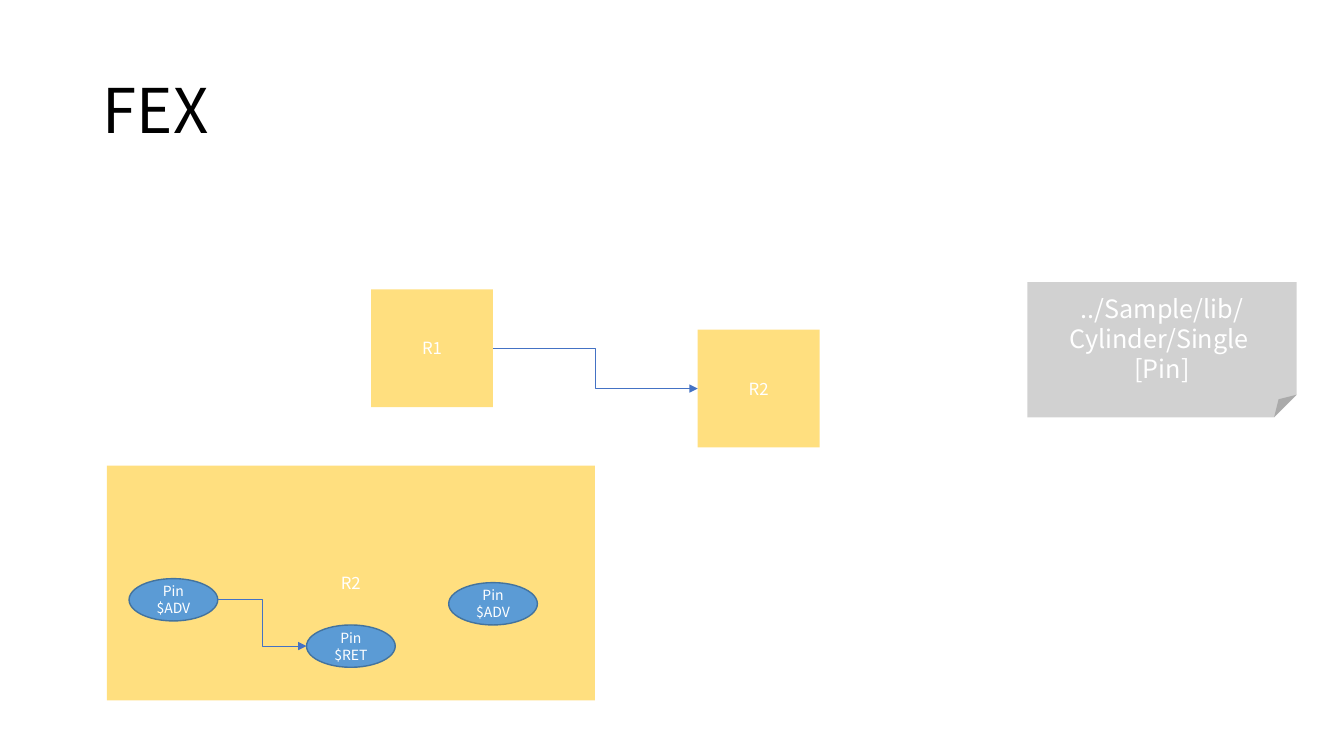
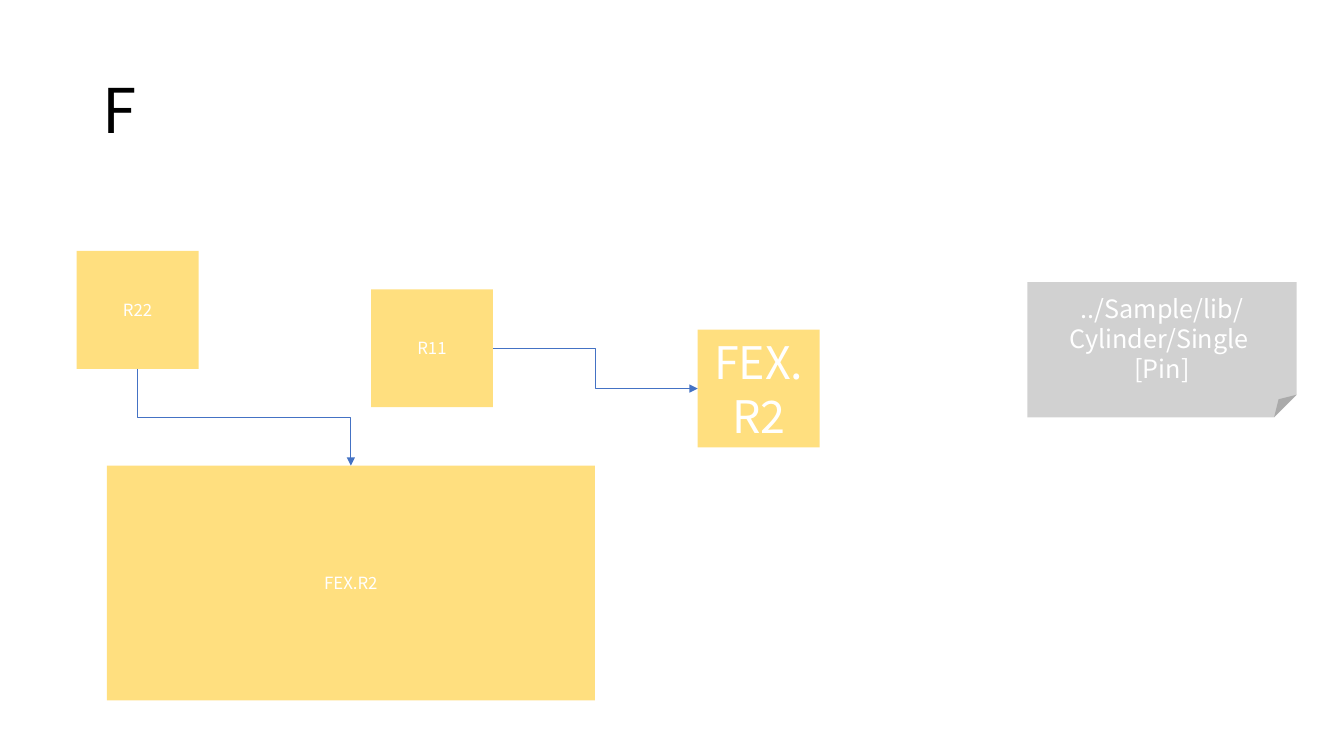
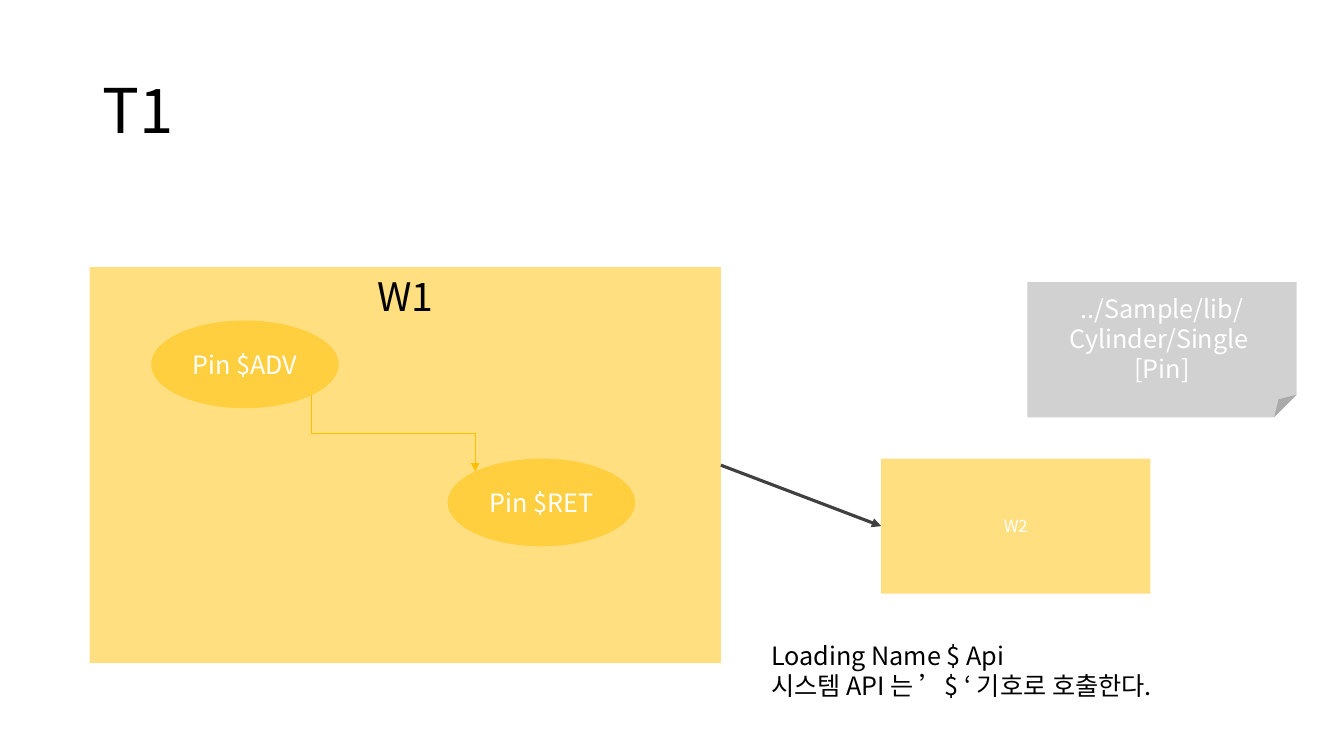
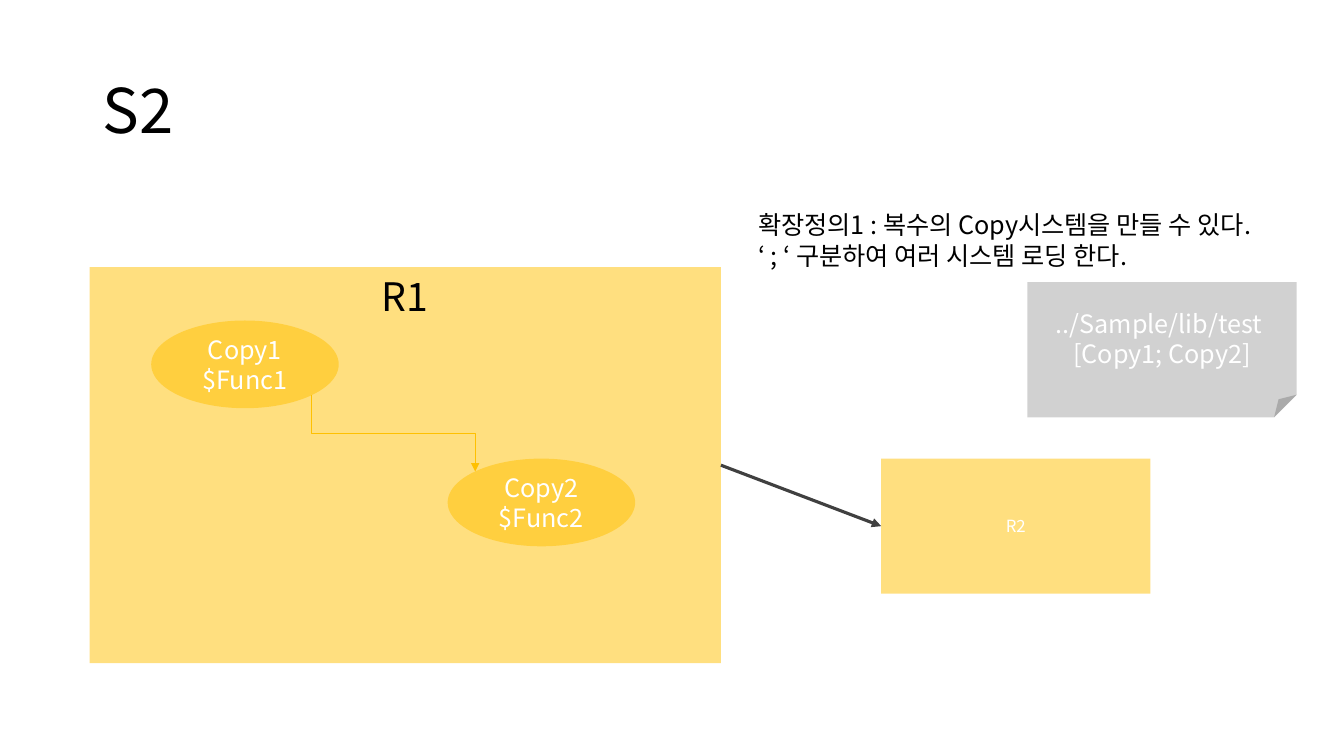
from dataclasses import dataclass
from math import sqrt

from lxml.etree import SubElement
from pptx import Presentation
from pptx.dml.color import RGBColor
from pptx.enum.shapes import MSO_CONNECTOR as Connector, MSO_SHAPE as Preset
from pptx.enum.text import MSO_ANCHOR as Anchor, MSO_AUTO_SIZE as AutoSize, PP_ALIGN as Align
from pptx.oxml.ns import qn
from pptx.util import Inches, Pt


@dataclass(frozen=True)
class Theme:
    font: str = "Noto Sans CJK KR"
    black: str = "000000"
    white: str = "FFFFFF"
    amber: str = "FFC000"
    gray: str = "A5A5A5"
    sky: str = "5B9BD5"
    sky_edge: str = "43739E"
    blue: str = "4472C4"
    charcoal: str = "404040"
    title_size: int = 44
    large_size: int = 32
    panel_size: int = 28
    body_size: int = 18
    label_size: int = 12
    pin_size: int = 10


THEME = Theme()
TITLE_ONLY = 5
BLOCK = (1.21, 1.17)
WIDE_BLOCK = (4.84, 2.33)
CARD = (2.67, 1.34)
PIN = (0.88, 0.42)
OVAL = (1.86, 0.87)
PANEL = (6.26, 3.93)
DIAGONAL = 1 / sqrt(2)
PIN_LIBRARY = ("../Sample/lib/Cylinder/Single ", "[Pin]")


def rgb(code):
    return RGBColor.from_string(code)


def edge_point(shape, across, down):
    """Point of a shape, counted from its centre in half widths and half heights."""
    return (round(shape.left + shape.width * (1 + across) / 2),
            round(shape.top + shape.height * (1 + down) / 2))


class DiagramDeck:
    def __init__(self, theme):
        self.theme = theme
        self.deck = Presentation()
        self.deck.slide_width = Inches(13.33)
        self.deck.slide_height = Inches(7.5)

    def add_page(self, heading):
        self.page = self.deck.slides.add_slide(self.deck.slide_layouts[TITLE_ONLY])
        self.shapes = self.page.shapes
        title = self.page.shapes.title
        title.left, title.top = Inches(0.92), Inches(0.4)
        title.width, title.height = Inches(11.5), Inches(1.45)
        title.text_frame.vertical_anchor = Anchor.MIDDLE
        self.set_text(title, [heading], self.theme.title_size, self.theme.black, Align.LEFT)
        title.text_frame.paragraphs[0].line_spacing = 0.9

    def start_group(self):
        self.shapes = self.page.shapes.add_group_shape().shapes

    def end_group(self):
        self.shapes = self.page.shapes

    def set_text(self, shape, lines, size, color, align):
        frame = shape.text_frame
        frame.word_wrap = True
        for index, line in enumerate(lines):
            para = frame.add_paragraph() if index else frame.paragraphs[0]
            para.text = line
            para.alignment = align
            font = para.font
            font.name = self.theme.font
            font.size = Pt(size)
            font.color.rgb = rgb(color)
            SubElement(font._element, qn("a:ea"), typeface=self.theme.font)

    def shape(self, preset, left, top, size, lines, text_size, fill,
              text_color=None, edge=None, anchor=Anchor.MIDDLE):
        """Preset shape with centred text; without an edge it is half transparent."""
        shape = self.shapes.add_shape(preset, Inches(left), Inches(top), *map(Inches, size))
        shape.shadow.inherit = False
        shape.fill.solid()
        shape.fill.fore_color.rgb = rgb(fill)
        if edge:
            shape.line.color.rgb = rgb(edge)
            shape.line.width = Pt(1)
        else:
            color = shape._element.spPr.find(qn("a:solidFill"))[0]
            SubElement(color, qn("a:alpha"), val="50000")
            shape.line.fill.background()
        shape.text_frame.vertical_anchor = anchor
        self.set_text(shape, lines, text_size, text_color or self.theme.white, Align.CENTER)
        return shape

    def block(self, left, top, label, size=BLOCK, text_size=None):
        return self.shape(Preset.RECTANGLE, left, top, size, [label],
                          text_size or self.theme.label_size, self.theme.amber)

    def panel(self, left, top, label):
        return self.shape(Preset.RECTANGLE, left, top, PANEL, [label], self.theme.panel_size,
                          self.theme.amber, self.theme.black, anchor=Anchor.TOP)

    def oval(self, left, top, label):
        return self.shape(Preset.OVAL, left, top, OVAL, [label],
                          self.theme.body_size, self.theme.amber)

    def pin(self, left, top, function):
        return self.shape(Preset.OVAL, left, top, PIN, ["Pin", function],
                          self.theme.pin_size, self.theme.sky, edge=self.theme.sky_edge)

    def library_card(self, lines):
        self.shape(Preset.FOLDED_CORNER, 10.19, 2.8, CARD, lines,
                   self.theme.body_size, self.theme.gray)

    def note(self, left, top, width, lines):
        box = self.shapes.add_textbox(Inches(left), Inches(top), Inches(width), Inches(0.71))
        box.text_frame.auto_size = AutoSize.SHAPE_TO_FIT_TEXT
        self.set_text(box, lines, self.theme.body_size, self.theme.black, Align.LEFT)

    def connector(self, kind, start, end, color, width):
        line = self.shapes.add_connector(kind, *start, *end)
        line.line.color.rgb = rgb(color)
        line.line.width = Pt(width)
        outline = line._element.spPr.find(qn("a:ln"))
        SubElement(outline, qn("a:tailEnd"), type="triangle")
        SubElement(line._element.spPr, qn("a:effectLst"))
        return line

    def elbow_right(self, source, target):
        self.connector(Connector.ELBOW, edge_point(source, 1, 0), edge_point(target, -1, 0),
                       self.theme.blue, 0.5)

    def elbow_down(self, source, target, color, across=0, down=1):
        """Elbow that leaves downwards: a level one turned a quarter about its middle."""
        x1, y1 = edge_point(source, across, down)
        x2, y2 = edge_point(target, -across, -down)
        run, drop = x2 - x1, y2 - y1
        left, top = (x1 + x2 - drop) // 2, (y1 + y2 - run) // 2
        line = self.connector(Connector.ELBOW, (left, top), (left + drop, top + run), color, 0.5)
        frame = line._element.spPr.find(qn("a:xfrm"))
        frame.set("rot", "16200000")
        frame.set("flipH", "1")

    def arrow(self, source, target):
        line = self.connector(Connector.STRAIGHT, edge_point(source, 1, 0),
                              edge_point(target, -1, 0), self.theme.charcoal, 2.25)
        line.begin_connect(source, 3)
        line.end_connect(target, 1)

    def top_flow(self, first, second, second_size=None):
        source = self.block(3.68, 2.87, first)
        target = self.block(6.92, 3.27, second, text_size=second_size)
        self.elbow_right(source, target)
        self.library_card(PIN_LIBRARY)

    def panel_flow(self, panel_label, calls, block_label):
        self.start_group()
        panel = self.panel(0.89, 2.65, panel_label)
        first = self.oval(1.5, 3.18, calls[0])
        second = self.oval(4.44, 4.55, calls[1])
        self.elbow_down(first, second, self.theme.amber, DIAGONAL, DIAGONAL)
        self.end_group()
        self.arrow(panel, self.block(8.74, 4.55, block_label, CARD))


def main():
    diagrams = DiagramDeck(THEME)

    diagrams.add_page("FEX")
    diagrams.top_flow("R1", "R2")
    diagrams.start_group()
    diagrams.block(1.06, 4.62, "R2", WIDE_BLOCK)
    advance = diagrams.pin(1.28, 5.74, "$ADV")
    diagrams.elbow_right(advance, diagrams.pin(3.04, 6.2, "$RET"))
    diagrams.pin(4.45, 5.78, "$ADV")
    diagrams.end_group()

    diagrams.add_page("F")
    diagrams.top_flow("R11", "FEX.R2", THEME.large_size)
    wide = diagrams.block(1.06, 4.62, "FEX.R2", WIDE_BLOCK)
    diagrams.elbow_down(diagrams.block(0.76, 2.49, "R22"), wide, THEME.blue)

    diagrams.add_page("T1")
    diagrams.panel_flow("W1", ("Pin $ADV", "Pin $RET"), "W2")
    diagrams.note(7.55, 6.3, 5.49, ("Loading Name $ Api", "시스템 API 는 ’$ ‘ 기호로 호출한다."))
    diagrams.library_card(PIN_LIBRARY)

    diagrams.add_page("S2")
    diagrams.panel_flow("R1", ("Copy1 $Func1", "Copy2 $Func2"), "R2")
    diagrams.library_card(("../Sample/lib/test ", "[Copy1; Copy2]"))
    diagrams.note(7.42, 2.03, 5.92, ("확장정의1 : 복수의 Copy시스템을 만들 수 있다.",
                                     "‘ ; ‘ 구분하여 여러 시스템 로딩 한다."))

    diagrams.deck.save("out.pptx")


if __name__ == "__main__":
    main()
